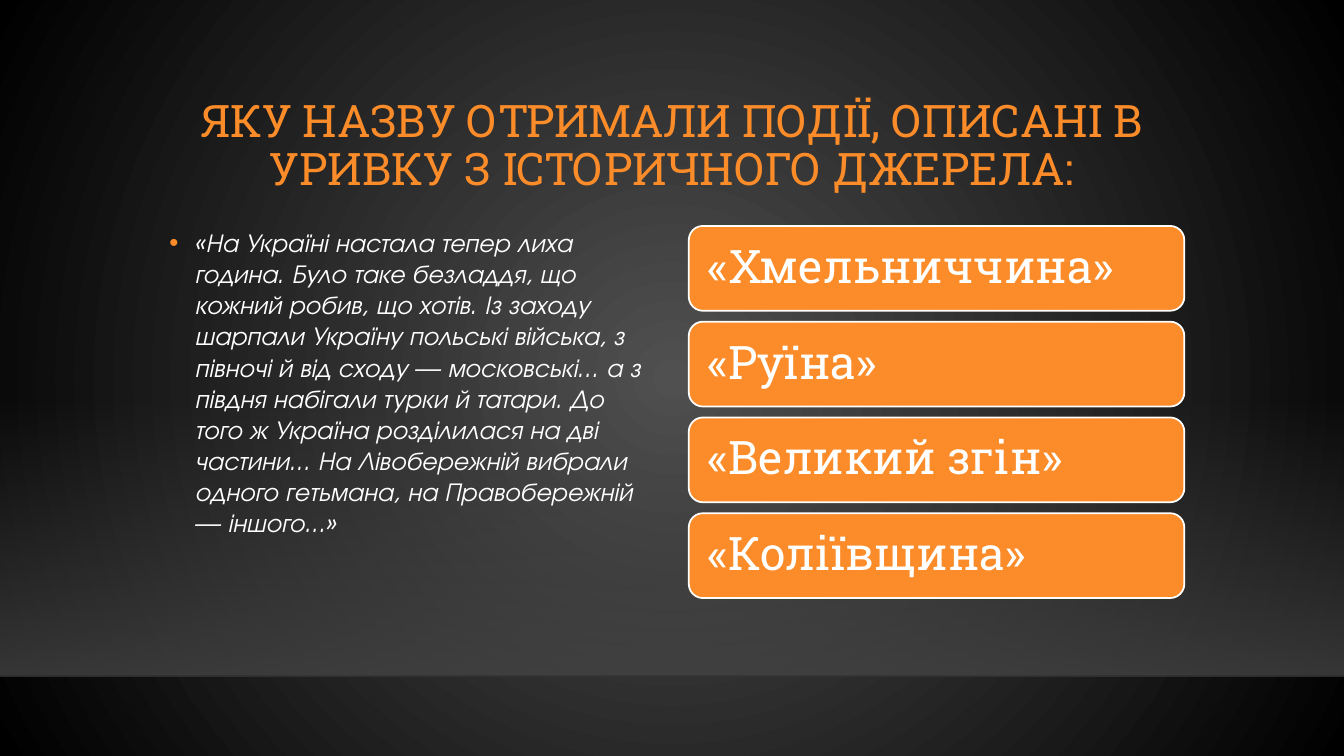
from lxml.etree import SubElement
from pptx import Presentation
from pptx.dml.color import RGBColor
from pptx.enum.shapes import MSO_CONNECTOR, MSO_SHAPE
from pptx.enum.text import MSO_ANCHOR, PP_ALIGN
from pptx.oxml.ns import qn
from pptx.util import Inches, Pt

ORANGE = RGBColor(0xFB, 0x8C, 0x29)
WHITE = RGBColor(0xFF, 0xFF, 0xFF)
BLACK = RGBColor(0x00, 0x00, 0x00)
NEAR_BLACK = RGBColor(0x00, 0x00, 0x01)
GLOW = RGBColor(0x50, 0x50, 0x50)
FLOOR = RGBColor(0x45, 0x45, 0x45)

COLUMNS, ROWS = 160, 90
LEFT, WIDTH = 19, 122
HALF = 59
ANSWERS_LEFT = LEFT + WIDTH - HALF
ANSWERS_TOP, ANSWER_HEIGHT, ANSWER_STEP = 26.9, 10.1, 11.4
HORIZON = 80.5

QUESTION = "ЯКУ НАЗВУ ОТРИМАЛИ ПОДІЇ, ОПИСАНІ В УРИВКУ З ІСТОРИЧНОГО ДЖЕРЕЛА:"
EXCERPT = (
    "«На Україні настала тепер лиха година. Було таке безладдя, що кожний робив, "
    "що хотів. Із заходу шарпали Україну польські війська, з півночі й від сходу — "
    "московські... а з півдня набігали турки й татари. До того ж Україна розділилася "
    "на дві частини... На Лівобережній вибрали одного гетьмана, на Правобережній — "
    "іншого...»"
)
ANSWERS = ["«Хмельниччина»", "«Руїна»", "«Великий згін»", "«Коліївщина»"]


class QuizSlide:
    """Draws quiz elements on one slide, placed on a grid of columns and rows."""

    heading_font = "Roboto Slab"
    body_font = "TeX Gyre Adventor"

    def __init__(self, presentation):
        self.column = presentation.slide_width / COLUMNS
        self.row = presentation.slide_height / ROWS
        self.slide = presentation.slides.add_slide(presentation.slide_layouts[6])

    def place(self, left, top, width, height):
        return (round(left * self.column), round(top * self.row),
                round(width * self.column), round(height * self.row))

    def set_opacity(self, element, percents):
        for color, percent in zip(element.iter(qn("a:srgbClr")), percents):
            SubElement(color, qn("a:alpha"), val=str(percent * 1000))

    def set_gradient(self, fill, colors):
        fill.gradient()
        for stop, color in zip(fill.gradient_stops, colors):
            stop.color.rgb = color

    def background(self, center, edge):
        self.set_gradient(self.slide.background.fill, (center, edge))
        gradient = next(self.slide.element.iter(qn("a:gradFill")))
        gradient.remove(gradient.find(qn("a:lin")))
        circle = SubElement(gradient, qn("a:path"), path="circle")
        sides = dict.fromkeys("ltrb", "50000")
        SubElement(circle, qn("a:fillToRect"), **sides)

    def floor(self, top, bottom):
        shape = self.slide.shapes.add_shape(
            MSO_SHAPE.RECTANGLE, *self.place(0, top, COLUMNS, bottom - top))
        shape.shadow.inherit = False
        shape.line.fill.background()
        self.set_gradient(shape.fill, (FLOOR, FLOOR))
        shape.fill.gradient_angle = 270
        self.set_opacity(shape.element, (0, 80))

    def horizon(self, top):
        left, top, right, _ = self.place(0, top, COLUMNS, 0)
        line = self.slide.shapes.add_connector(
            MSO_CONNECTOR.STRAIGHT, left, top, right, top)
        line.line.color.rgb = NEAR_BLACK
        line.line.width = Pt(1)
        self.set_opacity(line.element, (20,))
        SubElement(line.element.spPr, qn("a:effectLst"))

    def set_text(self, shape, text, font, size, color, italic=None):
        frame = shape.text_frame
        frame.text = text
        frame.word_wrap = True
        paragraph = frame.paragraphs[0]
        for run in paragraph.runs:
            run.font.name = font
            run.font.size = Pt(size)
            run.font.color.rgb = color
            run.font.italic = italic
        return frame, paragraph

    def title(self, text, *area):
        box = self.slide.shapes.add_textbox(*self.place(*area))
        frame, paragraph = self.set_text(box, text, self.heading_font, 32, ORANGE)
        frame.vertical_anchor = MSO_ANCHOR.MIDDLE
        paragraph.alignment = PP_ALIGN.CENTER
        paragraph.line_spacing = 0.9

    def bullet(self, text, *area):
        box = self.slide.shapes.add_textbox(*self.place(*area))
        _, paragraph = self.set_text(box, text, self.body_font, 18.5, WHITE, True)
        properties = paragraph._p.get_or_add_pPr()
        properties.set("marL", str(Inches(0.25)))
        properties.set("indent", str(-Inches(0.25)))
        bullet_color = SubElement(properties, qn("a:buClr"))
        SubElement(bullet_color, qn("a:srgbClr"), val=str(ORANGE))
        SubElement(properties, qn("a:buFont"), typeface="Arial")
        SubElement(properties, qn("a:buChar"), char="•")

    def answer(self, text, *area):
        shape = self.slide.shapes.add_shape(
            MSO_SHAPE.ROUNDED_RECTANGLE, *self.place(*area))
        shape.shadow.inherit = False
        shape.fill.solid()
        shape.fill.fore_color.rgb = ORANGE
        shape.line.color.rgb = WHITE
        shape.line.width = Pt(1.25)
        frame, paragraph = self.set_text(shape, text, self.heading_font, 33, WHITE)
        frame.vertical_anchor = MSO_ANCHOR.MIDDLE
        frame.margin_left = frame.margin_right = Inches(0.14)
        frame.margin_top = frame.margin_bottom = Inches(0.14)
        paragraph.alignment = PP_ALIGN.LEFT
        paragraph.line_spacing = 0.9


def main():
    presentation = Presentation()
    presentation.slide_width = Inches(40 / 3)
    presentation.slide_height = Inches(7.5)

    quiz = QuizSlide(presentation)
    quiz.background(GLOW, BLACK)
    quiz.floor(47.5, HORIZON)
    quiz.horizon(HORIZON)
    quiz.title(QUESTION, LEFT, 10.5, WIDTH, 14)
    quiz.bullet(EXCERPT, LEFT, 26.4, HALF, 45.2)
    for index, text in enumerate(ANSWERS):
        quiz.answer(text, ANSWERS_LEFT, ANSWERS_TOP + index * ANSWER_STEP,
                    HALF, ANSWER_HEIGHT)

    presentation.save("out.pptx")


if __name__ == "__main__":
    main()
